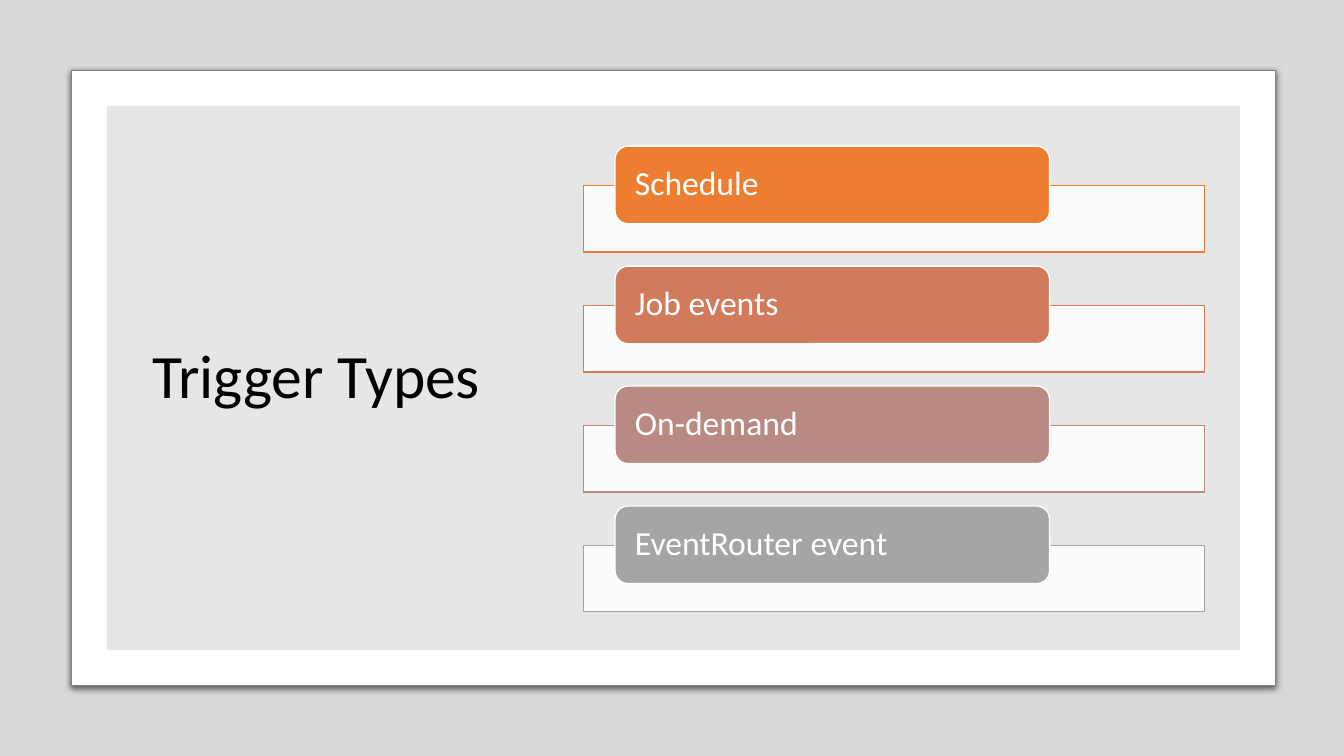
from lxml.etree import SubElement
from pptx import Presentation
from pptx.dml.color import RGBColor
from pptx.enum.shapes import MSO_SHAPE
from pptx.enum.text import MSO_ANCHOR, PP_ALIGN
from pptx.oxml import parse_xml
from pptx.oxml.ns import nsdecls, qn
from pptx.util import Inches, Pt

# Content
TITLE = "Trigger Types"
TYPES = [
    ("Schedule", "ED7D31"),
    ("Job events", "D17B5C"),
    ("On-demand", "B98A82"),
    ("EventRouter event", "A5A5A5"),
]

# Layout in inches
WIDE, HIGH = 13.33, 7.5
TOP, STEP = 1.45, 1.19
BAR = (5.79, 6.16, 0.66)   # left, width, height
TAB = (6.1, 4.31, 0.77)
DROP = 0.39                # bar top below tab top

SHADOW = """<a:effectLst %s><a:outerShdw blurRad="57150" dist="19050" dir="5400000"
  algn="ctr" rotWithShape="0"><a:srgbClr val="000000"><a:alpha val="63000"/></a:srgbClr>
  </a:outerShdw></a:effectLst>""" % nsdecls("a")

deck = Presentation()
deck.slide_width, deck.slide_height = Inches(WIDE), Inches(HIGH)
slide = deck.slides.add_slide(deck.slide_layouts[6])


def paint(part, color):
    part.rgb = RGBColor.from_string(color)


def box(kind, left, top, width, height, fill, alpha=None, line=None, weight=1):
    shape = slide.shapes.add_shape(
        kind, Inches(left), Inches(top), Inches(width), Inches(height))
    shape.shadow.inherit = False
    shape.fill.solid()
    paint(shape.fill.fore_color, fill)
    if alpha is not None:
        color = shape.fill._xPr.find(qn("a:solidFill"))[0]
        SubElement(color, qn("a:alpha")).set("val", str(alpha * 1000))
    if line:
        paint(shape.line.color, line)
        shape.line.width = Pt(weight)
    else:
        shape.line.fill.background()
    return shape


def write(shape, text, size, color, side, edge):
    frame = shape.text_frame
    frame.word_wrap = True
    frame.vertical_anchor = MSO_ANCHOR.MIDDLE
    frame.margin_left = frame.margin_right = Inches(side)
    frame.margin_top = frame.margin_bottom = Inches(edge)
    para = frame.paragraphs[0]
    para.alignment = PP_ALIGN.LEFT
    para.line_spacing = 0.9
    run = para.add_run()
    run.text = text
    run.font.name, run.font.size = "Calibri", Pt(size)
    paint(run.font.color, color)


# Backdrop, white frame and grey panel
box(MSO_SHAPE.RECTANGLE, 0, 0, WIDE, HIGH, "000000", alpha=15)
frame = box(MSO_SHAPE.ROUNDED_RECTANGLE, 0.71, 0.7, 11.94, 6.1, "FFFFFF",
            line="808080", weight=0.75)
frame.adjustments[0] = 0
props = frame._element.spPr
props.replace(props.find(qn("a:effectLst")), parse_xml(SHADOW))
box(MSO_SHAPE.RECTANGLE, 1.06, 1.05, 11.24, 5.4, "E7E6E6")

# Title
title = slide.shapes.add_textbox(Inches(1.41), Inches(1.4), Inches(3.78), Inches(4.71))
write(title, TITLE, 44, "000000", 0.1, 0.05)

# One bar and tab per trigger type
for row, (name, color) in enumerate(TYPES):
    top = TOP + row * STEP
    left, width, height = BAR
    box(MSO_SHAPE.RECTANGLE, left, top + DROP, width, height, "FFFFFF",
        alpha=90, line=color)
    left, width, height = TAB
    tab = box(MSO_SHAPE.ROUNDED_RECTANGLE, left, top, width, height, color, line="FFFFFF")
    write(tab, name, 24, "FFFFFF", 0.16, 0)

deck.save("out.pptx")
